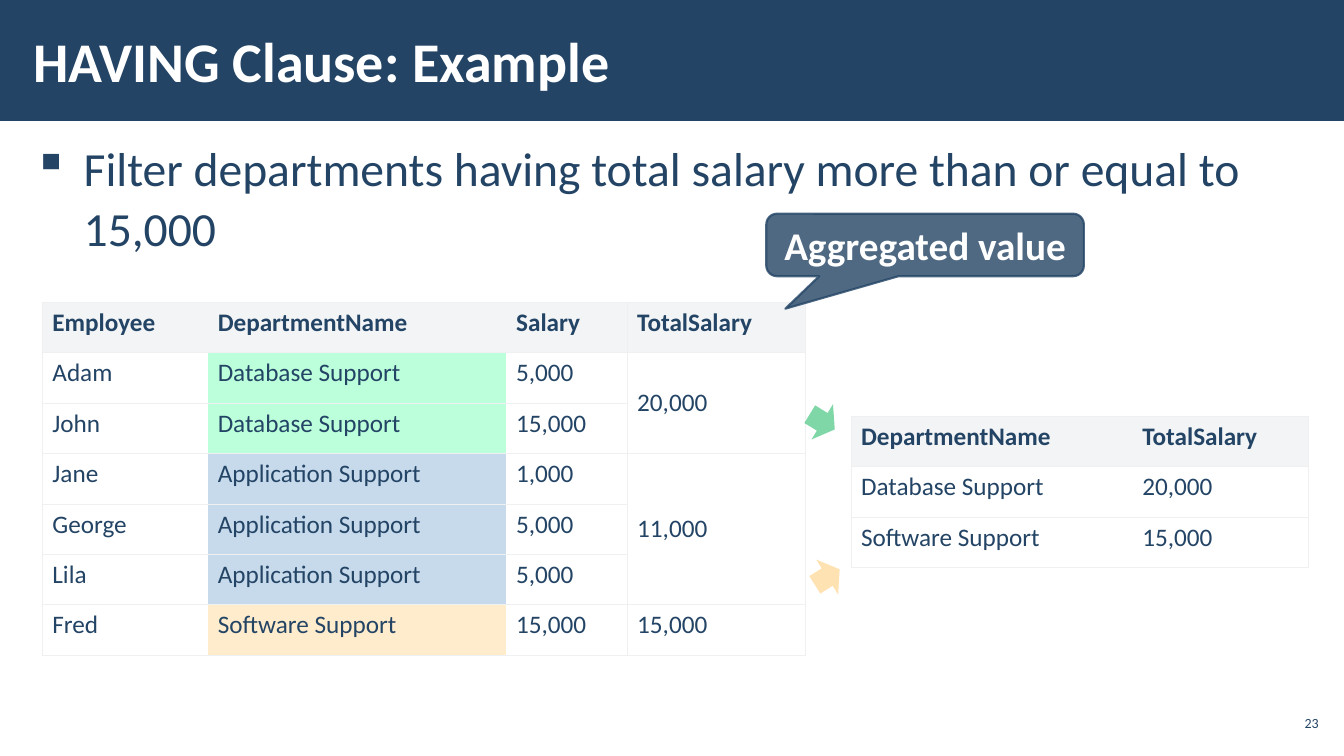
from dataclasses import dataclass
from typing import NamedTuple

from lxml import etree
from pptx import Presentation
from pptx.dml.color import RGBColor
from pptx.enum.shapes import MSO_SHAPE
from pptx.enum.text import MSO_ANCHOR, PP_ALIGN
from pptx.oxml.ns import qn
from pptx.util import Inches, Pt

RECTANGLE = MSO_SHAPE.RECTANGLE
CALLOUT = MSO_SHAPE.ROUNDED_RECTANGULAR_CALLOUT
RIGHT_ARROW = MSO_SHAPE.RIGHT_ARROW
TOP, MIDDLE = MSO_ANCHOR.TOP, MSO_ANCHOR.MIDDLE
LEFT, CENTER, RIGHT = PP_ALIGN.LEFT, PP_ALIGN.CENTER, PP_ALIGN.RIGHT

# The slide is a grid of half-inch units; one table row is one unit high
COLUMNS, ROWS = 26.66, 15


@dataclass(frozen=True)
class Theme:
    font: str = "Calibri"
    navy: str = "234465"
    white: str = "FFFFFF"
    border: str = "EFF0F2"
    header: str = "F2F4F6"
    database: str = "BCFFDB"
    application: str = "C7DAEC"
    software: str = "FFECCC"
    green_arrow: str = "00B050"
    orange_arrow: str = "FFC666"
    title_size: int = 40
    body_size: int = 34
    callout_size: int = 28
    table_size: int = 18
    number_size: int = 10


class Box(NamedTuple):
    left: float
    top: float
    width: float
    height: float


THEME = Theme()
DEPARTMENT_FILLS = {
    "Database Support": THEME.database,
    "Application Support": THEME.application,
    "Software Support": THEME.software,
}
EMPLOYEES = [
    ["Employee", "DepartmentName", "Salary"],
    ["Adam", "Database Support", "5,000"],
    ["John", "Database Support", "15,000"],
    ["Jane", "Application Support", "1,000"],
    ["George", "Application Support", "5,000"],
    ["Lila", "Application Support", "5,000"],
    ["Fred", "Software Support", "15,000"],
]
TOTALS = [["TotalSalary"], ["20,000"], ["11,000"], ["15,000"]]
RESULT = [
    ["DepartmentName", "TotalSalary"],
    ["Database Support", "20,000"],
    ["Software Support", "15,000"],
]


def units(count):
    return Inches(count / 2)


def place(box):
    return [units(length) for length in box]


def set_color(color_format, color, opacity=100):
    color_format.rgb = RGBColor.from_string(color)
    return opacity


def fade(properties, opacity):
    """Give every colour under the element the same opacity in percent."""
    for color in properties.iter(qn("a:srgbClr")):
        etree.SubElement(color, qn("a:alpha"), val=str(opacity * 1000))


def style_text(frame, text, size, color=THEME.navy, bold=False, align=LEFT, anchor=TOP):
    frame.text = text
    frame.word_wrap = True
    frame.vertical_anchor = anchor
    paragraph = frame.paragraphs[0]
    paragraph.alignment = align
    font = paragraph.font
    font.name, font.size, font.bold = THEME.font, Pt(size), bold
    font.color.rgb = RGBColor.from_string(color)
    return paragraph


def add_text(slide, box, text, size, side_inset=0.12, **style):
    frame = slide.shapes.add_textbox(*place(box)).text_frame
    frame.margin_left = frame.margin_right = Inches(side_inset)
    frame.margin_top = frame.margin_bottom = Inches(0.04)
    return style_text(frame, text, size, **style)


def add_filled_shape(slide, kind, box, color, opacity=None, line_width=None):
    shape = slide.shapes.add_shape(kind, *place(box))
    shape.shadow.inherit = False
    shape.fill.solid()
    shape.fill.fore_color.rgb = RGBColor.from_string(color)
    if line_width:
        shape.line.width = Pt(line_width)
        shape.line.color.rgb = RGBColor.from_string(color)
    else:
        shape.line.fill.background()
    if opacity:
        fade(shape.element.spPr, opacity)
    return shape


# Title band across the top
def add_title_bar(slide, box, title):
    add_filled_shape(slide, RECTANGLE, box, THEME.navy)
    title_box = Box(box.left + 0.42, box.top + 0.22, box.width * 0.78, box.height - 0.46)
    add_text(slide, title_box, title, THEME.title_size,
             color=THEME.white, bold=True, anchor=MIDDLE)


# Bulleted statement
def add_statement(slide, box, text):
    paragraph = add_text(slide, box, text, THEME.body_size)
    paragraph.line_spacing = 1.05
    paragraph.space_before = paragraph.space_after = Pt(6)
    properties = paragraph._p.get_or_add_pPr()
    properties.set("marL", str(Inches(0.5)))
    properties.set("indent", str(-Inches(0.5)))
    bullet = etree.Element(qn("a:buChar"), char="▪")
    properties.find(qn("a:spcAft")).addnext(bullet)


# Tables: horizontal rules and an outer frame, without inner vertical lines
def set_borders(cell, visible_sides):
    properties = cell._tc.get_or_add_tcPr()
    for side in "LRTB":
        line = etree.SubElement(properties, qn(f"a:ln{side}"), w=str(Pt(0.75)))
        if side in visible_sides:
            fill = etree.SubElement(line, qn("a:solidFill"))
            etree.SubElement(fill, qn("a:srgbClr"), val=THEME.border)
        else:
            etree.SubElement(line, qn("a:noFill"))


def add_grid(slide, left, top, widths, heights, values, fills=None, anchor=TOP):
    box = Box(left, top, sum(widths), sum(heights))
    table = slide.shapes.add_table(len(heights), len(widths), *place(box)).table
    table.first_row = table.horz_banding = False
    for column, width in zip(table.columns, widths):
        column.width = units(width)
    for row, height in zip(table.rows, heights):
        row.height = units(height)
    for r, row_values in enumerate(values):
        for c, value in enumerate(row_values):
            cell = table.cell(r, c)
            style_text(cell.text_frame, value, THEME.table_size, bold=r == 0)
            cell.vertical_anchor = anchor if heights[r] > 1 else TOP
            set_borders(cell, "TB" + "L" * (c == 0) + "R" * (c == len(widths) - 1))
            color = THEME.header if r == 0 else (fills or {}).get(value)
            if color:
                cell.fill.solid()
                cell.fill.fore_color.rgb = RGBColor.from_string(color)
            else:
                cell.fill.background()


def add_salaries(slide, left, top):
    widths = [3.28, 5.92, 2.4]
    add_grid(slide, left, top, widths, [1] * len(EMPLOYEES), EMPLOYEES, DEPARTMENT_FILLS)
    add_grid(slide, left + sum(widths), top, [3.54], [1, 2, 3, 1], TOTALS, anchor=MIDDLE)


# Callout pointing at the totals
def add_callout(slide, box, text):
    callout = add_filled_shape(slide, CALLOUT, box, THEME.navy, opacity=80, line_width=1.5)
    for index, value in enumerate((-0.436, 1.018, 0.167)):
        callout.adjustments[index] = round(value, 2)
    style_text(callout.text_frame, text, THEME.callout_size, color=THEME.white,
               bold=True, align=CENTER, anchor=MIDDLE)
    callout.text_frame.word_wrap = False


# Arrows from the matching totals to the result
def add_result_arrow(slide, left, top, color, angle):
    arrow = add_filled_shape(slide, RIGHT_ARROW, Box(left, top, 0.58, 0.82), color, opacity=50)
    arrow.rotation = angle


def main():
    presentation = Presentation()
    presentation.slide_width, presentation.slide_height = units(COLUMNS), units(ROWS)
    slide = presentation.slides.add_slide(presentation.slide_layouts[6])

    add_title_bar(slide, Box(0, 0, COLUMNS, 2.4), "HAVING Clause: Example")
    add_statement(slide, Box(0.42, 2.62, 25.84, 11.38),
                  "Filter departments having total salary more than or equal to \v15,000")
    add_text(slide, Box(25.3, 14, 0.94, 0.68), "23", THEME.number_size,
             side_inset=0.04, align=RIGHT, anchor=MIDDLE)
    add_grid(slide, 16.88, 8.26, [5.58, 3.5], [1] * len(RESULT), RESULT)
    add_salaries(slide, 0.84, 6)
    add_callout(slide, Box(15.2, 4.24, 6.3, 1.24), "Aggregated value")
    add_result_arrow(slide, 16.02, 7.96, THEME.green_arrow, 31.4)
    add_result_arrow(slide, 16.12, 11.04, THEME.orange_arrow, 328)
    presentation.save("out.pptx")


if __name__ == "__main__":
    main()
